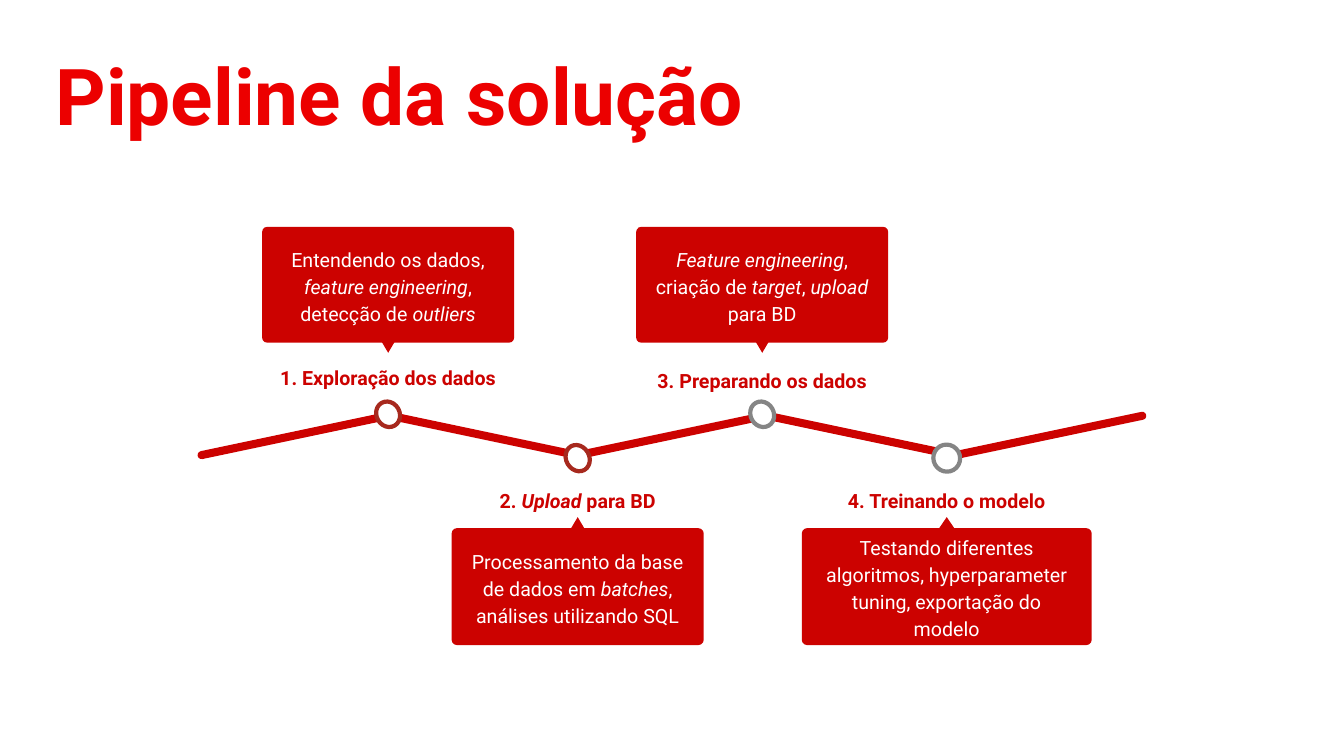
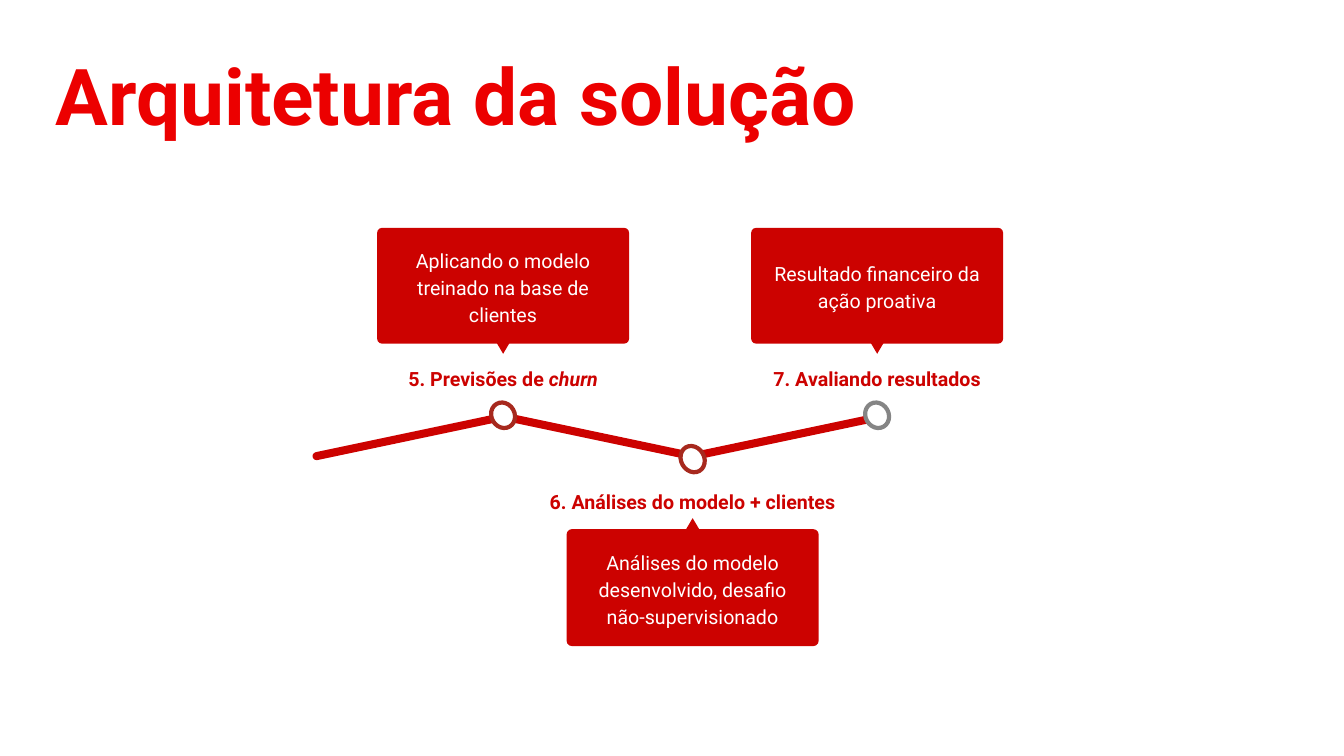
import pptx
import pptx.util
import pptx.dml.color
from pptx.enum.shapes import MSO_SHAPE
from pptx.enum.text import MSO_ANCHOR, MSO_AUTO_SIZE, PP_ALIGN

# Shared style
FONT = "Roboto"
TITLE_RED, RED, DARK_RED, GREY, WHITE = "EC0000", "CC0200", "A7291E", "858585", "FFFFFF"
TITLE_AREA = (0.45, 0.42, 9, 1.04)
TITLE_STYLE = {"size": 56, "bold": True, "color": TITLE_RED}
LABEL_STYLE = {"size": 14, "bold": True, "color": RED}
CARD_STYLE = {"size": 14, "bold": False, "color": WHITE}

# Timeline geometry, in inches
BAR_WIDTH, BAR_HEIGHT, BAR_STEP, BAR_TILT = 1.97, 0.08, 1.87, 11.9
BAR_LEFT, BAR_TOP = 1.94, 4.28
CENTERS = [3.85, 5.73, 7.56, 9.39]
CARD_WIDTH, LABEL_WIDTH, LABEL_HEIGHT = 2.5, 3.6, 0.45
RING_WIDTH, RING_TILT = 0.23, -29.8
POINTER_WIDTH, POINTER_HEIGHT = 0.13, 0.11
UPPER = {"card": 2.25, "height": 1.15, "label": 3.47, "pointer": 3.39,
         "turn": 180, "ring": 3.98, "ring_height": 0.26}
LOWER = {"card": 5.24, "height": 1.16, "label": 4.69, "pointer": 5.13,
         "turn": 0, "ring": 4.41, "ring_height": 0.27}

# Content: asterisks enclose italic words
SLIDES = [
    {"title": "Pipeline da solução", "shift": (0, 0), "bars": 5, "steps": [
        {"label": "1. Exploração dos dados", "ring": DARK_RED,
         "text": "Entendendo os dados, *feature engineering*, detecção de *outliers*"},
        {"label": "2. *Upload *para BD", "ring": DARK_RED,
         "text": "Processamento da base de dados em *batches*, análises utilizando SQL"},
        {"label": "3. Preparando os dados", "ring": GREY, "label_drop": 0.03,
         "text": "*Feature engineering*, criação de *target*, *upload *para BD"},
        {"label": "4. Treinando o modelo", "ring": GREY, "widen": 1.15,
         "text": "Testando diferentes algoritmos, hyperparameter tuning, "
                 "exportação do modelo"},
    ]},
    {"title": "Arquitetura da solução", "shift": (1.14, 0.01), "bars": 3, "steps": [
        {"label": "5. Previsões de *churn*", "ring": DARK_RED,
         "text": "Aplicando o modelo treinado na base de clientes"},
        {"label": "6. Análises do modelo + clientes", "ring": DARK_RED,
         "text": "Análises do modelo desenvolvido, desafio não-supervisionado"},
        {"label": "7. Avaliando resultados", "ring": GREY,
         "text": "Resultado financeiro da ação proativa"},
    ]},
]


def color(value):
    return pptx.dml.color.RGBColor.from_string(value)


def inches(*values):
    return [pptx.util.Inches(value) for value in values]


def write(box, text, style, anchor, align, insets, spacing=1.0):
    frame = box.text_frame
    side, end = inches(*insets)
    settings = {"word_wrap": True, "auto_size": MSO_AUTO_SIZE.NONE,
                "vertical_anchor": anchor, "margin_left": side,
                "margin_right": side, "margin_top": end, "margin_bottom": end}
    for name, value in settings.items():
        setattr(frame, name, value)
    para = frame.paragraphs[0]
    para.alignment, para.line_spacing = align, spacing
    for index, part in enumerate(text.split("*")):
        if not part:
            continue
        span = para.add_run()
        span.text = part
        looks = {"name": FONT, "size": pptx.util.Pt(style["size"]),
                 "bold": style["bold"], "italic": index % 2 == 1}
        for name, value in looks.items():
            setattr(span.font, name, value)
        span.font.color.rgb = color(style["color"])


def add_shape(slide, kind, area, fill=RED, line=None, rotation=0, rounding=None):
    shape = slide.shapes.add_shape(kind, *inches(*area))
    shape.shadow.inherit = False
    shape.rotation = rotation
    shape.fill.solid()
    shape.fill.fore_color.rgb = color(fill)
    if line:
        shape.line.color.rgb = color(line)
        shape.line.width = pptx.util.Pt(3)
    else:
        shape.line.fill.background()
    if rounding is not None:
        shape.adjustments[0] = rounding
    return shape


def add_step(slide, step, center, drop, side):
    def area(width, top, height):
        return center - width / 2, top + drop, width, height

    widen = step.get("widen", 1)
    card = add_shape(slide, MSO_SHAPE.ROUNDED_RECTANGLE,
                     area(CARD_WIDTH * widen, side["card"], side["height"]),
                     rounding=0.045)
    write(card, step["text"], CARD_STYLE, MSO_ANCHOR.MIDDLE, PP_ALIGN.CENTER,
          (0.17, 0), 1.15)
    add_shape(slide, MSO_SHAPE.ISOSCELES_TRIANGLE,
              area(POINTER_WIDTH * widen, side["pointer"], POINTER_HEIGHT),
              rotation=side["turn"])
    label_top = side["label"] + step.get("label_drop", 0)
    label = slide.shapes.add_textbox(*inches(*area(LABEL_WIDTH, label_top, LABEL_HEIGHT)))
    write(label, step["label"], LABEL_STYLE, MSO_ANCHOR.TOP, PP_ALIGN.CENTER,
          (0.13, 0.13), 1.15)
    add_shape(slide, MSO_SHAPE.OVAL,
              area(RING_WIDTH * widen, side["ring"], side["ring_height"]),
              fill=WHITE, line=step["ring"], rotation=RING_TILT)


def add_timeline(deck, layout, content):
    slide = deck.slides.add_slide(layout)
    write(slide.shapes.title, content["title"], TITLE_STYLE, MSO_ANCHOR.TOP,
          PP_ALIGN.LEFT, (0.1, 0.05))
    shift, drop = content["shift"]
    # Zigzag line, rising first
    for index in range(content["bars"]):
        add_shape(slide, MSO_SHAPE.ROUNDED_RECTANGLE,
                  (BAR_LEFT + shift + index * BAR_STEP, BAR_TOP + drop,
                   BAR_WIDTH, BAR_HEIGHT),
                  rotation=BAR_TILT if index % 2 else -BAR_TILT, rounding=0.5)
    # Steps alternate above and below the line
    for index, step in enumerate(content["steps"]):
        add_step(slide, step, CENTERS[index] + shift, drop,
                 LOWER if index % 2 else UPPER)


def main():
    deck = pptx.Presentation()
    deck.slide_width, deck.slide_height = inches(13.33, 7.5)
    layout = deck.slide_layouts.get_by_name("Title Only")
    title = layout.placeholders[0]
    for name, value in zip(("left", "top", "width", "height"), inches(*TITLE_AREA)):
        setattr(title, name, value)
    for content in SLIDES:
        add_timeline(deck, layout, content)
    deck.save("out.pptx")


if __name__ == "__main__":
    main()
